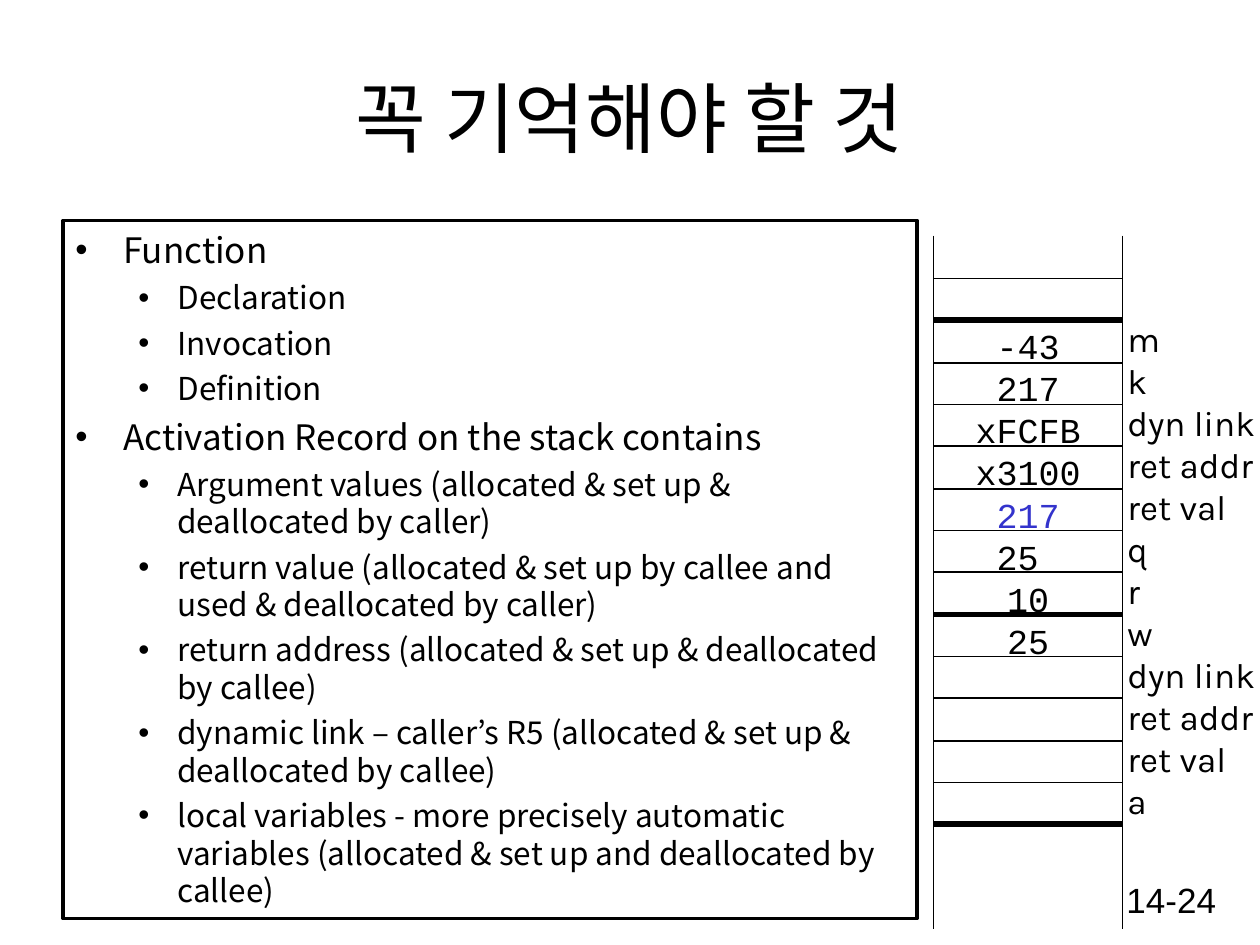
from lxml import etree
from pptx import Presentation
from pptx.dml.color import RGBColor
from pptx.enum.shapes import MSO_CONNECTOR, MSO_SHAPE
from pptx.enum.text import MSO_ANCHOR, PP_ALIGN
from pptx.oxml.ns import qn
from pptx.util import Inches, Pt

SANS = "Noto Sans CJK KR"


def rgb(value):
    return RGBColor.from_string(value)


def add_text(tf, text, first=False, font=SANS, size=20, color="000000",
             align=PP_ALIGN.LEFT, spacing=None, before=0, bullet=None):
    p = tf.paragraphs[0] if first else tf.add_paragraph()
    p.alignment = align
    if spacing:
        p.line_spacing = Pt(spacing)
    p.space_before = Pt(0 if first else before)
    if bullet:
        margin, hanging = bullet
        pPr = p._p.get_or_add_pPr()
        pPr.set("marL", str(Inches(margin)))
        pPr.set("indent", str(-Inches(hanging)))
        etree.SubElement(pPr, qn("a:buFont")).set("typeface", "Arial")
        etree.SubElement(pPr, qn("a:buChar")).set("char", "•")
    r = p.add_run()
    r.text = text
    r.font.name = font
    r.font.size = Pt(size)
    r.font.color.rgb = rgb(color)
    etree.SubElement(r._r.get_or_add_rPr(), qn("a:ea")).set("typeface", font)
    return p


def add_line(x1, y1, x2, y2, width=0.75):
    line = s.shapes.add_connector(MSO_CONNECTOR.STRAIGHT, Inches(x1), Inches(y1),
                                  Inches(x2), Inches(y2))
    line.line.color.rgb = rgb("000000")
    line.line.width = Pt(width)
    etree.SubElement(line._element.spPr, qn("a:effectLst"))


prs = Presentation()
prs.slide_width, prs.slide_height = Inches(10), Inches(7.5)
s = prs.slides.add_slide(prs.slide_layouts[6])

# Slide number
sp = s.shapes.add_textbox(Inches(7.17), Inches(6.92), Inches(2.58), Inches(0.42))
sp.text_frame.word_wrap = True
add_text(sp.text_frame, "14-24", first=True, font="Arial", align=PP_ALIGN.RIGHT)

# Title
sp = s.shapes.add_textbox(Inches(0.5), Inches(0.3), Inches(9), Inches(1.25))
tf = sp.text_frame
tf.word_wrap = True
tf.vertical_anchor = MSO_ANCHOR.MIDDLE
add_text(tf, "꼭 기억해야 할 것", first=True, size=44, align=PP_ALIGN.CENTER)

# Framed outline
outline = [
    (0, "Function"),
    (1, "Declaration"),
    (1, "Invocation"),
    (1, "Definition"),
    (0, "Activation Record on the stack contains"),
    (1, "Argument values (allocated & set up & deallocated by caller)"),
    (1, "return value (allocated & set up by callee and used & deallocated by caller)"),
    (1, "return address (allocated & set up & deallocated by callee)"),
    (1, "dynamic link – caller’s R5 (allocated & set up & deallocated by callee)"),
    (1, "local variables - more precisely automatic variables "
        "(allocated & set up and deallocated by callee)"),
]
levels = [
    dict(size=20, spacing=23.8, before=5, bullet=(0.38, 0.38)),
    dict(size=18, spacing=21.4, before=4.5, bullet=(0.81, 0.31)),
]
sp = s.shapes.add_shape(MSO_SHAPE.RECTANGLE, Inches(0.5), Inches(1.75),
                        Inches(6.78), Inches(5.54))
sp.shadow.inherit = False
sp.fill.background()
sp.line.color.rgb = rgb("000000")
sp.line.width = Pt(2)
tf = sp.text_frame
tf.word_wrap = True
tf.vertical_anchor = MSO_ANCHOR.TOP
tf.margin_top = Inches(0.07)
for i, (level, text) in enumerate(outline):
    p = add_text(tf, text, first=i == 0, **levels[level])
    p.level = level

# Stack grid: two sides, then one rule per memory cell
LEFT, RIGHT, TOP, ROW = 7.41, 8.91, 2.21, 1 / 3
FRAME_EDGES = (1, 8, 13)
for x in (LEFT, RIGHT):
    add_line(x, 1.87, x, 7.37)
for i in range(14):
    y = round(TOP + i * ROW, 2)
    add_line(LEFT, y, RIGHT, y, width=3 if i in FRAME_EDGES else 0.75)

# Labels beside the stack and values inside it, one line per cell
labels = ["m", "k", "dyn link", "ret addr", "ret val", "q", "r", "w",
          "dyn link", "ret addr", "ret val", "a"]
values = ["-43", "217", "xFCFB", "x3100", "217", "25 ", "10", "25"]
RETURN_VALUE = 4
columns = [
    (8.85, 2.47, 1.26, labels, "Karla", PP_ALIGN.LEFT, False),
    (LEFT, 2.53, 1.5, values, "Courier New", PP_ALIGN.CENTER, True),
]
for x, y, width, texts, font, align, wrap in columns:
    sp = s.shapes.add_textbox(Inches(x), Inches(y), Inches(width), Inches(4.1))
    tf = sp.text_frame
    tf.word_wrap = wrap
    for i, text in enumerate(texts):
        blue = texts is values and i == RETURN_VALUE
        add_text(tf, text, first=i == 0, font=font, align=align, spacing=24,
                 color="3333CC" if blue else "000000")

prs.save("out.pptx")
